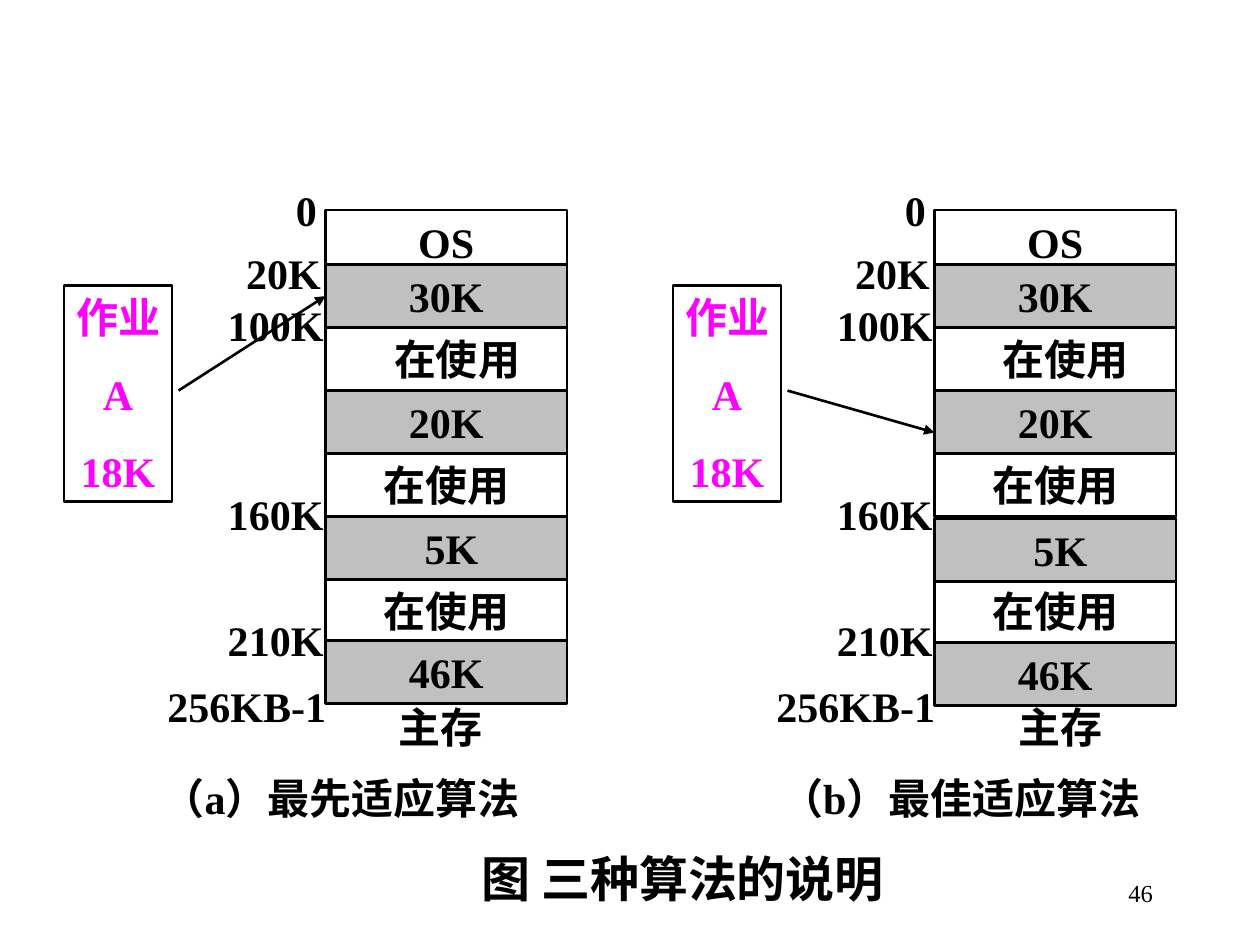
from lxml.etree import SubElement
from pptx import Presentation
from pptx.dml.color import RGBColor
from pptx.enum.shapes import MSO_CONNECTOR as Link, MSO_SHAPE as Preset
from pptx.enum.text import MSO_ANCHOR as Anchor, MSO_AUTO_SIZE as Fit, PP_ALIGN as Align
from pptx.oxml.ns import qn
from pptx.util import Inches, Pt

COLUMNS, ROWS = 120, 90
WIDTH, HEIGHT = Inches(10), Inches(7.5)
PANEL_STEP = 58
BAR_LEFT, BAR_WIDTH, BAR_HEIGHT = 31, 23, 6
FREE_TOP = 25.2  # row where the first free block starts
LEFT, SIDE = 1, 0.1
BLACK, WHITE, GREY, MAGENTA = "000000", "FFFFFF", "C0C0C0", "FF00FF"

# Block name, fill, extra left inset in inches
BLOCKS = [("30K", GREY, 0), ("在使用", WHITE, 0.17), ("20K", GREY, 0),
          ("在使用", WHITE, 0), ("5K", GREY, 0.08), ("在使用", WHITE, 0),
          ("46K", GREY, 0)]


def color(value):
    return RGBColor.from_string(value)


def across(columns):
    return round(WIDTH * columns / COLUMNS)


def down(rows):
    return round(HEIGHT * rows / ROWS)


def place(area):
    left, top, width, height = area
    return across(left), down(top), across(width), down(height)


def write(box, lines, size=24, ink=BLACK, bold=True, align=Align.CENTER,
          spacing=None, **frame_format):
    frame = box.text_frame
    settings = {"word_wrap": True, "vertical_anchor": Anchor.TOP,
                "auto_size": Fit.NONE, **frame_format}
    for name, value in settings.items():
        setattr(frame, name, value)
    for index, line in enumerate(lines):
        para = frame.add_paragraph() if index else frame.paragraphs[0]
        para.alignment = align
        if index:
            para.space_before = Pt(15)
        if spacing:
            para.line_spacing = spacing
        span = para.add_run()
        span.text = line
        font_format = {"name": "Times New Roman", "size": Pt(size), "bold": bold}
        for name, value in font_format.items():
            setattr(span.font, name, value)
        span.font.color.rgb = color(ink)


def add_label(page, area, text, **text_format):
    box = page.shapes.add_textbox(*place(area))
    write(box, [text], **text_format)


def add_rect(page, area, lines, fill=WHITE, **text_format):
    box = page.shapes.add_shape(Preset.RECTANGLE, *place(area))
    box.shadow.inherit = False
    box.fill.solid()
    box.fill.fore_color.rgb = color(fill)
    box.line.color.rgb = color(BLACK)
    box.line.width = Pt(1.5)
    write(box, lines, word_wrap=False, **text_format)
    return box


def add_arrow(page, start, end):
    arrow = page.shapes.add_connector(
        Link.STRAIGHT, across(start[0]), down(start[1]), across(end[0]), down(end[1]))
    arrow.line.color.rgb = color(BLACK)
    arrow.line.width = Pt(1.5)
    SubElement(arrow.line._get_or_add_ln(), qn("a:tailEnd"), type="triangle")
    SubElement(arrow._element.spPr, qn("a:effectLst"))
    return arrow


def draw_memory(page, left, nudges):
    """Stack the memory blocks, used ones first so free ones lie on top."""
    def bar(top, name, fill, inset):
        return add_rect(page, (left, top, BAR_WIDTH, BAR_HEIGHT), [name], fill,
                        vertical_anchor=Anchor.MIDDLE, margin_left=Inches(SIDE + inset))

    bar(20, "OS", WHITE, 0)
    bars = {}
    for shade in (WHITE, GREY):
        for index, (name, fill, inset) in enumerate(BLOCKS):
            if fill == shade:
                top = FREE_TOP + BAR_HEIGHT * index + nudges.get(name, 0)
                bars[name] = bar(top, name, fill, inset)
    return bars


def draw_panel(page, left, caption, shift, nudges, target_row=None):
    """One allocation example; shift moves its two captions."""
    # Addresses beside the memory column
    for text, area in {"0": (27, 17, 4, 6), "20K": (22, 23, 10, 6),
                       "256KB-1": (14, 64.2, 19, 6)}.items():
        add_label(page, (left + area[0], *area[1:]), text)

    bars = draw_memory(page, left + BAR_LEFT, nudges)

    for text, top in {"100K": 29.2, "160K": 47.2, "210K": 59.2}.items():
        add_label(page, (left + 20.5, top, 11.5, 4.5), text,
                  spacing=0.7, word_wrap=False)

    # Job waiting for memory
    add_rect(page, (left + 6.1, 27.2, 10.3, 20.6), ["作业", "A", "18K"], ink=MAGENTA)

    # Arrow to the chosen block: a given row, or the first free block's side
    end_row = target_row or FREE_TOP + BAR_HEIGHT / 2
    arrow = add_arrow(page, (left + 17, 37.2), (left + BAR_LEFT, end_row))
    if target_row is None:
        arrow.end_connect(bars["30K"], LEFT)

    # Captions
    add_label(page, (left + 36 + shift, 66.2, 12, 6), "主存")
    add_label(page, (left + 11 + shift, 73, 43, 6), caption)


def draw_footer(page):
    add_label(page, (37, 80.2, 56, 6.8), "图 三种算法的说明", size=28)
    add_label(page, (86, 82, 25, 6), "46", size=14, bold=False,
              align=Align.RIGHT, vertical_anchor=Anchor.MIDDLE)


def main():
    deck = Presentation()
    deck.slide_width, deck.slide_height = WIDTH, HEIGHT
    page = deck.slides.add_slide(deck.slide_layouts[6])
    draw_panel(page, 0, "（a）最先适应算法", 0, {"46K": -0.2})
    draw_panel(page, PANEL_STEP, "（b）最佳适应算法", 1, {"5K": 0.2}, target_row=41.2)
    draw_footer(page)
    deck.save("out.pptx")


if __name__ == "__main__":
    main()
